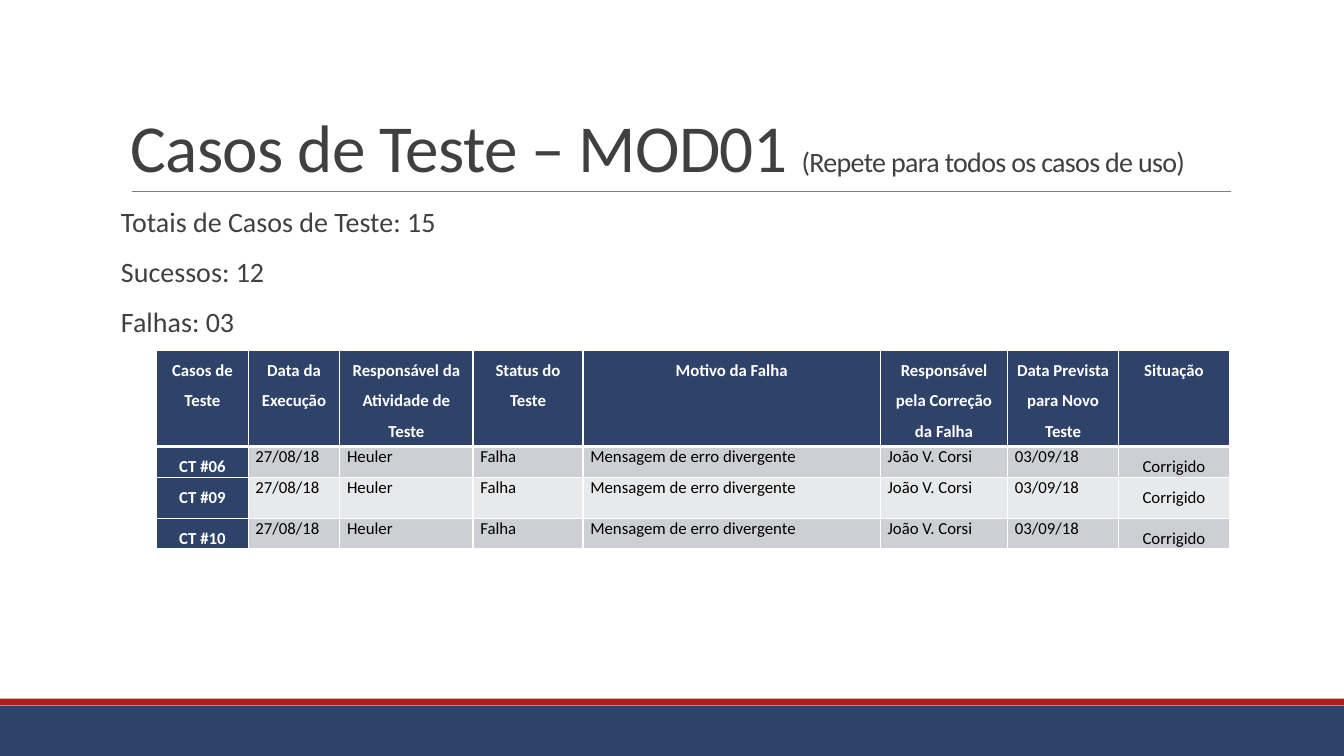
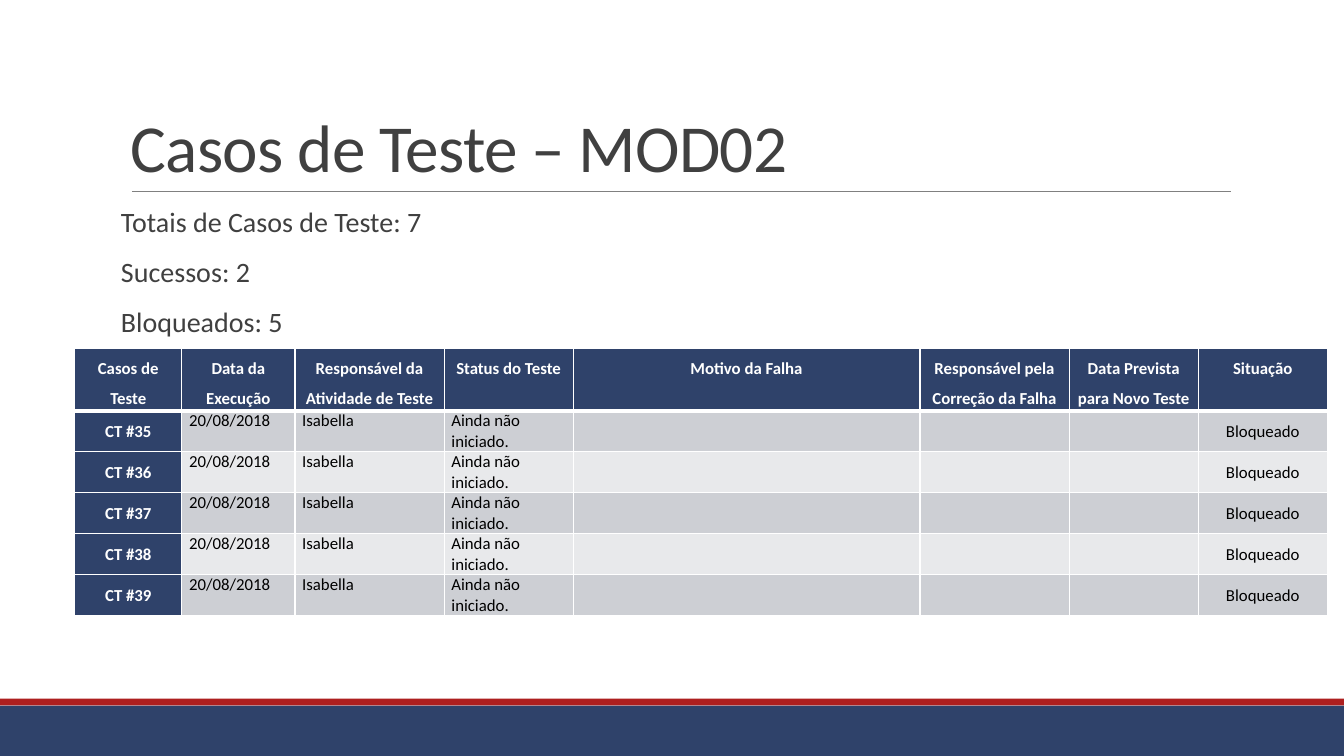
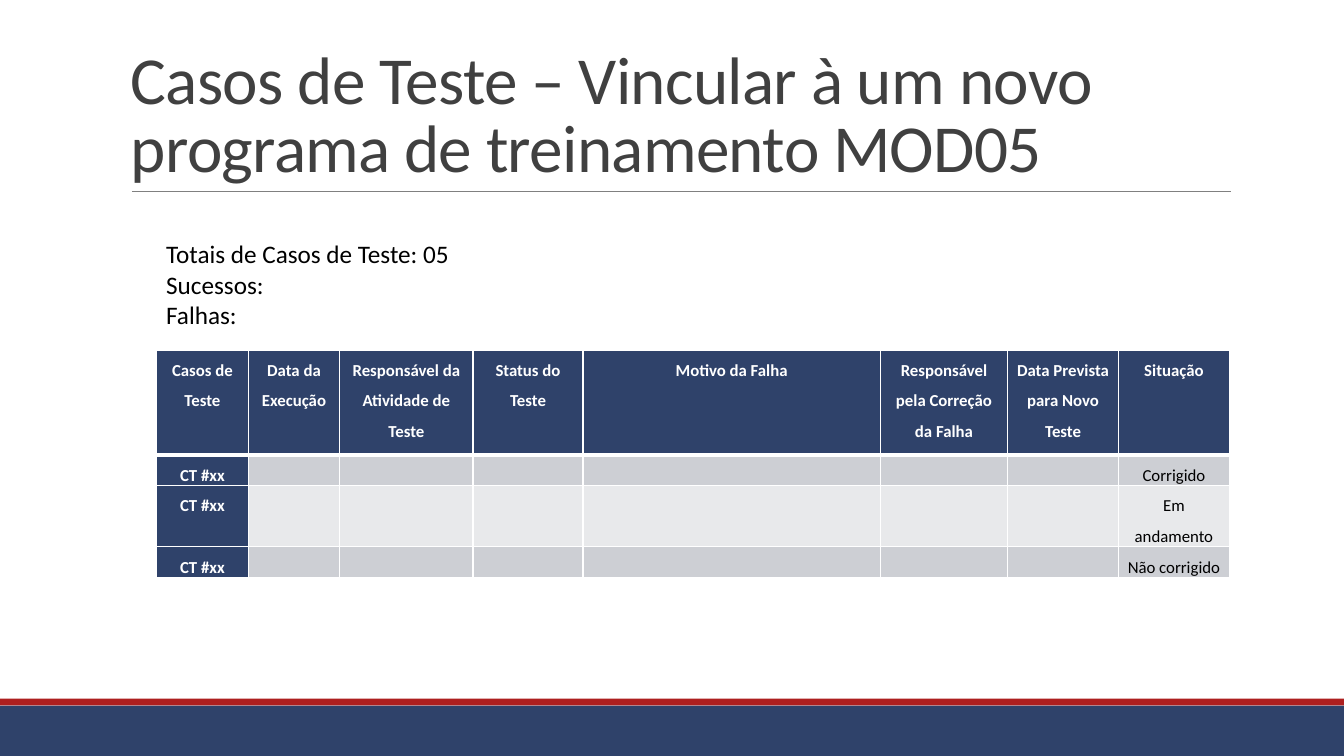
"""Builds three slides of test case results."""
from dataclasses import dataclass
from typing import Optional

from lxml import etree
from pptx import Presentation
from pptx import util as u
from pptx.dml.color import RGBColor
from pptx.enum import shapes, text
from pptx.oxml.ns import qn

FONT = "Calibri"
NAVY, RED, GREY = "2F426A", "AD1F1F", "808080"
WHITE, BLACK, INK = "FFFFFF", "000000", "404040"
BANDS = ("CDCFD4", "E8E9EB")
HEADERS = (
    "Casos de Teste", "Data da Execução", "Responsável da Atividade de Teste",
    "Status do Teste", "Motivo da Falha", "Responsável pela Correção da Falha",
    "Data Prevista para Novo Teste", "Situação",
)
NARROW = (65.4, 65.4, 95.2, 78.6, 212.4, 90.9, 79.2, 79.2)
WIDE = (76.5, 80.8, 106.6, 92.2, 247.7, 106.6, 92.2, 92.2)


@dataclass
class Box:
    left: float
    top: float
    width: float
    height: float


@dataclass
class Style:
    size: float
    color: str
    bold: bool = False
    tracking: int = 0


@dataclass
class Para:
    align: Optional[text.PP_ALIGN] = None
    line: Optional[float] = None
    before: float = 0
    after: float = 0


@dataclass
class Grid:
    left: float
    top: float
    cols: tuple[float, ...]
    heights: tuple[float, ...]
    rows: list[tuple[str, ...]]


@dataclass
class Page:
    title: list[tuple[str, float]]
    totals: list[str]
    totals_box: Box
    totals_style: Style
    totals_para: Para
    inset: float
    grid: Grid


TITLE_BOX = Box(86.4, 22.3, 792, 114.5)
TITLE_PARA = Para(line=0.85)
BODY = dict(
    totals_box=Box(86.4, 145.4, 792, 119.5),
    totals_style=Style(20, INK),
    totals_para=Para(line=0.9, before=12, after=2),
    inset=0,
)
CENTERED = Para(text.PP_ALIGN.CENTER, 1.5)
PAGES = [
    Page(
        title=[("Casos de Teste – MOD01 ", 48), ("(Repete para todos os casos de uso)", 20)],
        totals=["Totais de Casos de Teste: 15", "Sucessos: 12", "Falhas: 03"],
        grid=Grid(111.9, 250, NARROW, (69, 21.9, 29.3, 21.9), [
            (case, "27/08/18", "Heuler", "Falha", "Mensagem de erro divergente",
             "João V. Corsi", "03/09/18", "Corrigido")
            for case in ("CT #06", "CT #09", "CT #10")
        ]),
        **BODY,
    ),
    Page(
        title=[("Casos de Teste – MOD02", 48)],
        totals=["Totais de Casos de Teste: 7", "Sucessos: 2", "Bloqueados: 5"],
        grid=Grid(53.4, 248.5, WIDE, (45, *[29.3] * 5), [
            (f"CT #{number}", "20/08/2018", "Isabella", "Ainda não iniciado.",
             "", "", "", "Bloqueado")
            for number in range(35, 40)
        ]),
        **BODY,
    ),
    Page(
        title=[("Casos de Teste – Vincular à um novo programa de treinamento MOD05", 48)],
        totals=["Totais de Casos de Teste: 05", "Sucessos:", "Falhas:"],
        totals_box=Box(111.6, 167, 480.2, 72.7),
        totals_style=Style(18, BLACK),
        totals_para=Para(),
        inset=7.2,
        grid=Grid(111.9, 250, NARROW, (75, 21.9, 43.8, 21.9), [
            ("CT #xx", *[""] * 6, status)
            for status in ("Corrigido", "Em andamento", "Não corrigido")
        ]),
    ),
]


def rgb(value: str) -> RGBColor:
    return RGBColor.from_string(value)


def add_run(p, content: str, style: Style) -> None:
    r = p.add_run()
    r.text = content
    r.font.name = FONT
    r.font.size = u.Pt(style.size)
    r.font.bold = style.bold
    r.font.color.rgb = rgb(style.color)
    if style.tracking:
        r.font._element.set("spc", str(style.tracking))


def format_para(p, para: Para, first: bool = True) -> None:
    p.alignment = para.align
    p.line_spacing = para.line
    p.space_before = u.Pt(0 if first else para.before)
    p.space_after = u.Pt(para.after)


def add_text(s, box: Box, paragraphs: list[list[tuple[str, Style]]], para: Para,
             inset: float = 7.2, anchor=text.MSO_ANCHOR.TOP) -> None:
    sp = s.shapes.add_textbox(*map(u.Pt, (box.left, box.top, box.width, box.height)))
    tf = sp.text_frame
    tf.word_wrap = True
    tf.vertical_anchor = anchor
    tf.margin_left = tf.margin_right = u.Pt(inset)
    for i, runs in enumerate(paragraphs):
        p = tf.paragraphs[0] if i == 0 else tf.add_paragraph()
        format_para(p, para, i == 0)
        for content, style in runs:
            add_run(p, content, style)


def add_band(s, top: float, height: float, color: str) -> None:
    sp = s.shapes.add_shape(shapes.MSO_SHAPE.RECTANGLE, 0, u.Pt(top), u.Pt(960), u.Pt(height))
    sp.shadow.inherit = False
    sp.fill.solid()
    sp.fill.fore_color.rgb = rgb(color)
    sp.line.fill.background()


def add_frame(s) -> None:
    add_band(s, 504, 36, NAVY)
    add_band(s, 499, 4.8, RED)
    rule = s.shapes.add_connector(
        shapes.MSO_CONNECTOR.STRAIGHT, u.Pt(94.3), u.Pt(136.8), u.Pt(879), u.Pt(136.8))
    rule.line.color.rgb = rgb(GREY)
    rule.line.width = u.Pt(0.5)
    etree.SubElement(rule._element.spPr, qn("a:effectLst"))


def set_border(cell, side: str, width: float) -> None:
    ln = etree.SubElement(cell._tc.get_or_add_tcPr(), qn(f"a:ln{side}"), w=str(u.Pt(width)))
    fill = etree.SubElement(ln, qn("a:solidFill"))
    etree.SubElement(fill, qn("a:srgbClr"), val=WHITE)


def fill_cell(cell, content: str, row: int, col: int) -> None:
    navy = row == 0 or col == 0
    cell.margin_left = cell.margin_right = u.Pt(5.2)
    cell.margin_top = cell.margin_bottom = 0
    for side in "LRTB":
        thick = (row, side) in ((0, "B"), (1, "T"))
        set_border(cell, side, 3 if thick else 1)
    cell.fill.solid()
    cell.fill.fore_color.rgb = rgb(NAVY if navy else BANDS[(row - 1) % 2])
    p = cell.text_frame.paragraphs[0]
    if content:
        format_para(p, CENTERED if navy or col == len(HEADERS) - 1 else Para())
        add_run(p, content, Style(12, WHITE if navy else BLACK, navy))
    else:
        etree.SubElement(p._p, qn("a:endParaRPr"), sz="1200")


def add_grid(s, grid: Grid) -> None:
    rows = [HEADERS, *grid.rows]
    frame = s.shapes.add_table(
        len(rows), len(HEADERS), u.Pt(grid.left), u.Pt(grid.top),
        u.Pt(sum(grid.cols)), u.Pt(sum(grid.heights)))
    table = frame.table
    for column, width in zip(table.columns, grid.cols):
        column.width = u.Pt(width)
    for row, height in zip(table.rows, grid.heights):
        row.height = u.Pt(height)
    for i, values in enumerate(rows):
        for j, value in enumerate(values):
            fill_cell(table.cell(i, j), value, i, j)


def add_page(prs, page: Page) -> None:
    s = prs.slides.add_slide(prs.slide_layouts[6])
    add_frame(s)
    title = [(part, Style(size, INK, tracking=-50)) for part, size in page.title]
    add_text(s, TITLE_BOX, [title], TITLE_PARA, anchor=text.MSO_ANCHOR.BOTTOM)
    totals = [[(line, page.totals_style)] for line in page.totals]
    add_text(s, page.totals_box, totals, page.totals_para, page.inset)
    add_grid(s, page.grid)


def main() -> None:
    prs = Presentation()
    prs.slide_width, prs.slide_height = u.Pt(960), u.Pt(540)
    for page in PAGES:
        add_page(prs, page)
    prs.save("out.pptx")


if __name__ == "__main__":
    main()
